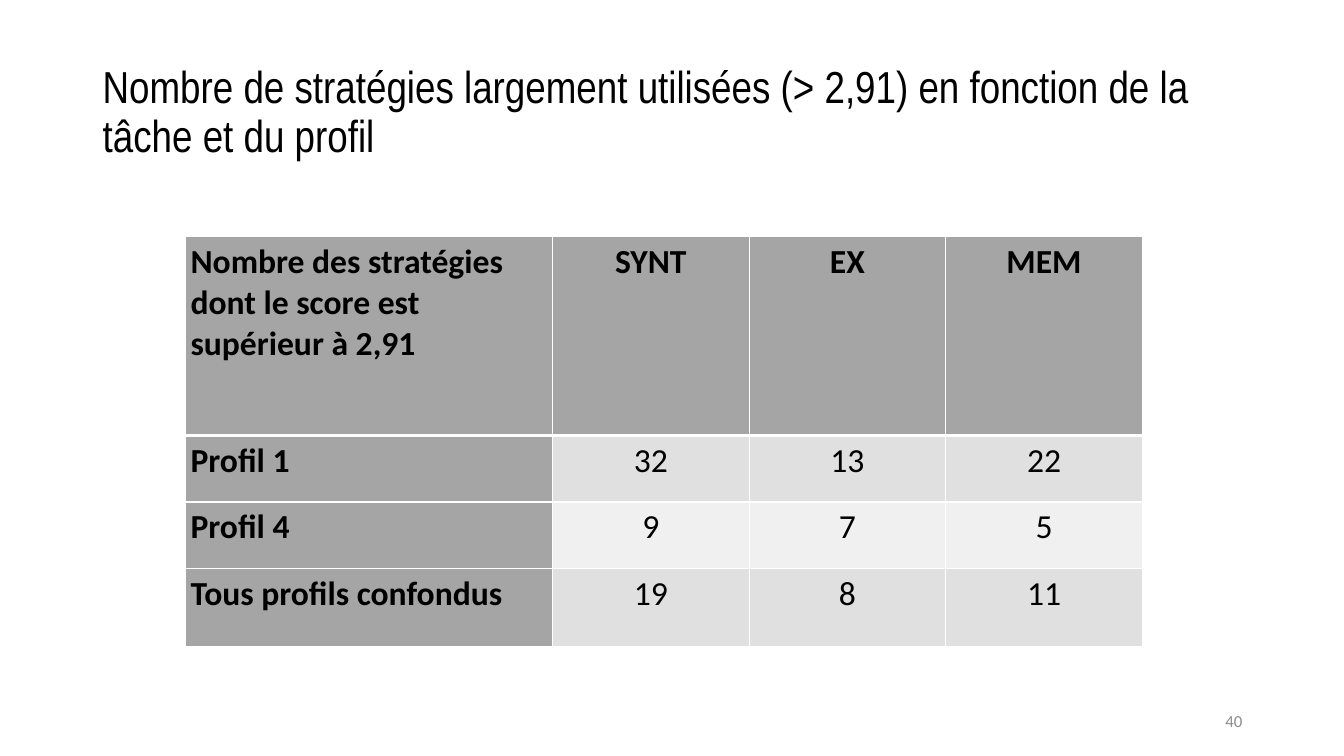
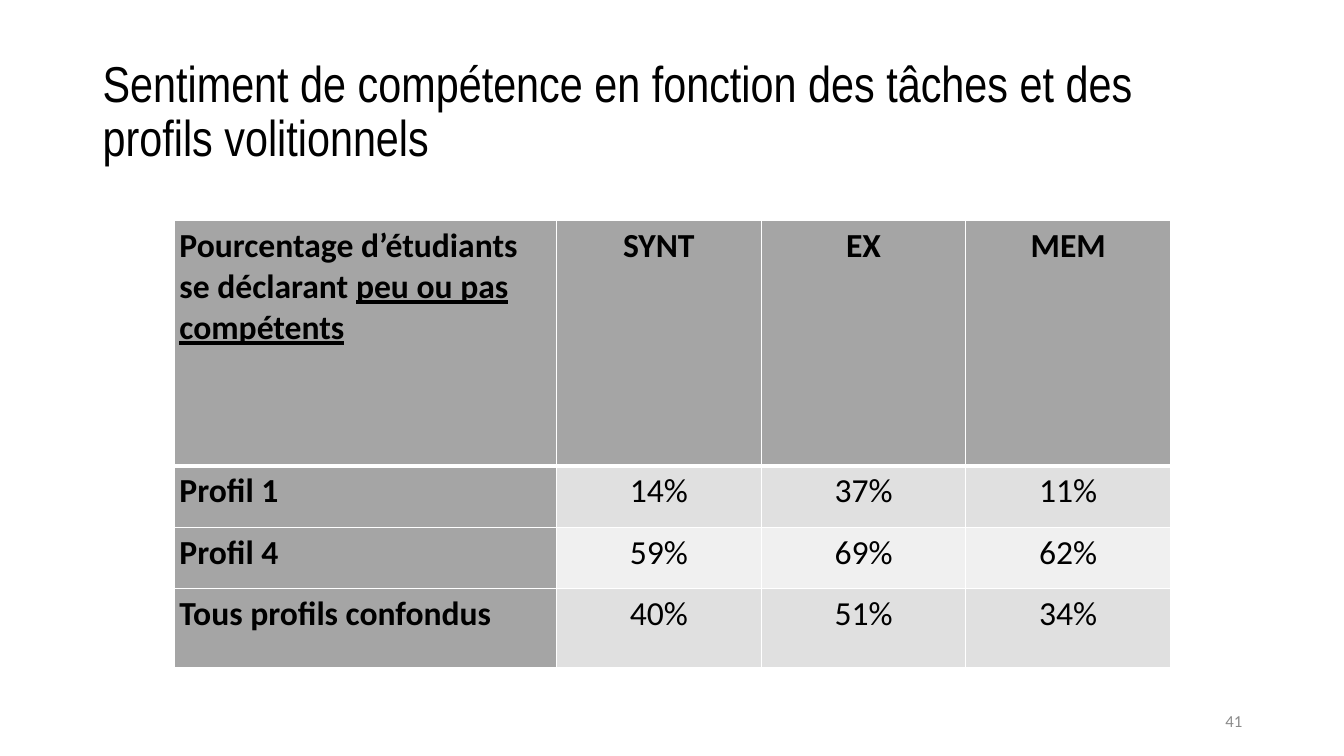
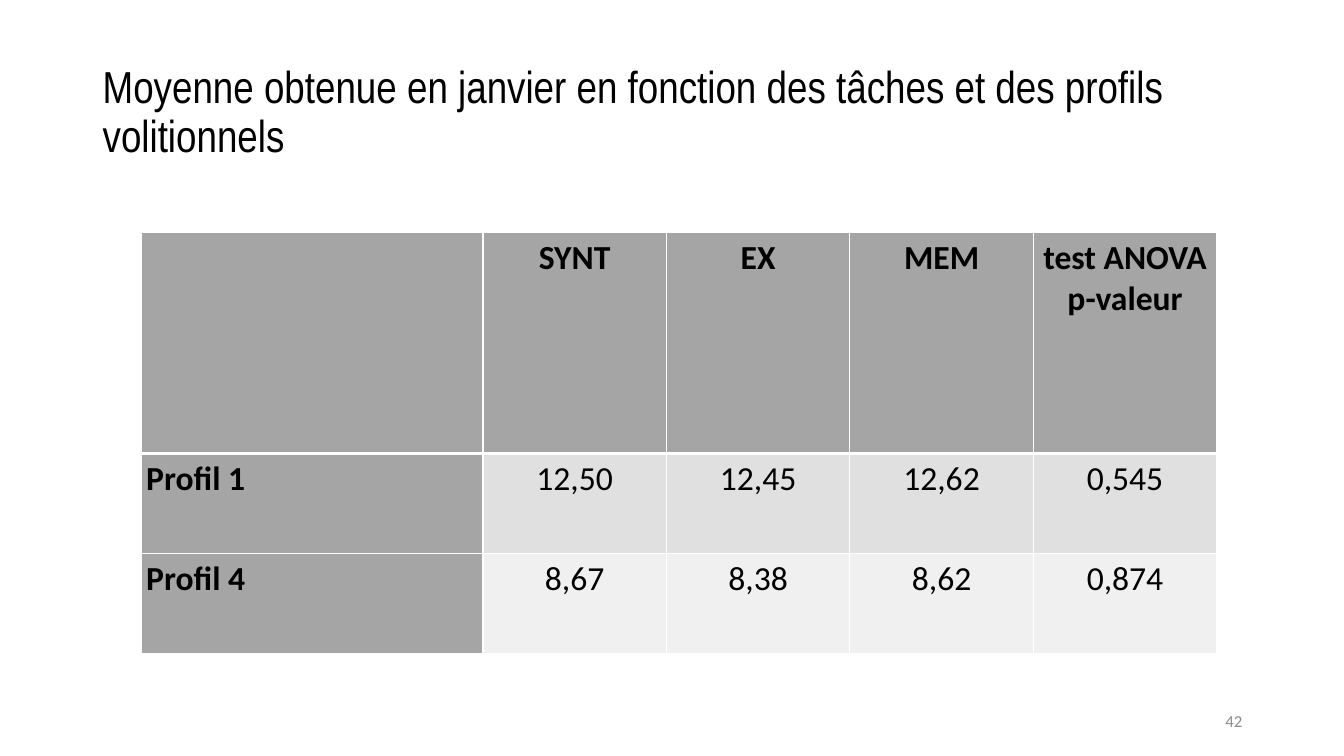
from lxml import etree
from pptx import Presentation
from pptx.dml.color import RGBColor
from pptx.enum.text import MSO_ANCHOR, PP_ALIGN
from pptx.oxml.ns import qn
from pptx.util import Inches, Pt

LEFT, CENTER, RIGHT = PP_ALIGN.LEFT, PP_ALIGN.CENTER, PP_ALIGN.RIGHT
MIDDLE = MSO_ANCHOR.MIDDLE

TITLE_FONT, BODY_FONT = "Arial Narrow", "Calibri"
BLACK, WHITE, NUMBER_GREY = "000000", "FFFFFF", "8B8B8B"
HEAD_FILL = "A5A5A5"
BAND_FILLS = ["E0E0E0", "F0F0F0"]
THIN, THICK = 0.96, 3
CELL_INSET = Inches(0.05)
FIRST_NUMBER = 40

TASKS = ["SYNT", "EX", "MEM"]

# A cell is a string, or a list of (text, underlined) parts.
SLIDES = [
    {
        "title": "Nombre de stratégies largement utilisées (> 2,91) en fonction de la tâche et du profil",
        "title_size": 32,
        "at": (1.84, 2.35),
        "label_width": 3.64,
        "value_width": 1.95,
        "heights": [1.97, 0.66, 0.66, 0.78],
        "rows": [
            ["Nombre des stratégies dont le score est supérieur à 2,91", *TASKS],
            ["Profil 1", "32", "13", "22"],
            ["Profil 4", "9", "7", "5"],
            ["Tous profils confondus", "19", "8", "11"],
        ],
    },
    {
        "title": "Sentiment de compétence en fonction des tâches et des profils volitionnels",
        "title_size": 36,
        "at": (1.73, 2.19),
        "label_width": 3.79,
        "value_width": 2.03,
        "heights": [2.43, 0.61, 0.61, 0.78],
        "rows": [
            [[("Pourcentage d’étudiants se déclarant ", False),
              ("peu ou pas compétents", True)], *TASKS],
            ["Profil 1", "14%", "37%", "11%"],
            ["Profil 4", "59%", "69%", "62%"],
            ["Tous profils confondus", "40%", "51%", "34%"],
        ],
    },
    {
        "title": "Moyenne obtenue en janvier en fonction des tâches et des profils volitionnels",
        "title_size": 32,
        "at": (1.4, 2.31),
        "label_width": 3.39,
        "value_width": 1.82,
        "heights": [2.19, 0.99, 0.99],
        "rows": [
            ["", *TASKS, "test ANOVA p-valeur"],
            ["Profil 1", "12,50", "12,45", "12,62", "0,545"],
            ["Profil 4", "8,67", "8,38", "8,62", "0,874"],
        ],
    },
]


def rgb(color):
    return RGBColor.from_string(color)


def write(tf, text, size, font=BODY_FONT, color=BLACK, bold=False,
          align=LEFT, line_spacing=None):
    """Fill a text frame with one paragraph; text may be (text, underlined) parts."""
    tf.word_wrap = True
    p = tf.paragraphs[0]
    p.alignment = align
    if line_spacing:
        p.line_spacing = line_spacing
    parts = [(text, False)] if isinstance(text, str) else text
    for part, underlined in parts:
        if not part:
            continue
        r = p.add_run()
        r.text = part
        r.font.name, r.font.size, r.font.bold = font, Pt(size), bold
        r.font.color.rgb = rgb(color)
        if underlined:
            r.font.underline = True


def add_text(s, box, text, size, **fmt):
    tf = s.shapes.add_textbox(*map(Inches, box)).text_frame
    tf.vertical_anchor = MIDDLE
    write(tf, text, size, **fmt)


def set_borders(cell, top, bottom):
    """Draw white borders; top and bottom are widths in points."""
    tc_pr = cell._tc.get_or_add_tcPr()
    for side, width in (("L", THIN), ("R", THIN), ("T", top), ("B", bottom)):
        ln = etree.SubElement(tc_pr, qn(f"a:ln{side}"), w=str(Pt(width)))
        fill = etree.SubElement(ln, qn("a:solidFill"))
        etree.SubElement(fill, qn("a:srgbClr"), val=WHITE)


def add_grid(s, at, label_width, value_width, heights, rows):
    widths = [label_width] + [value_width] * (len(rows[0]) - 1)
    box = map(Inches, (*at, sum(widths), sum(heights)))
    table = s.shapes.add_table(len(rows), len(widths), *box).table
    for column, width in zip(table.columns, widths):
        column.width = Inches(width)
    for i, (row, height) in enumerate(zip(rows, heights)):
        table.rows[i].height = Inches(height)
        for j, text in enumerate(row):
            cell = table.cell(i, j)
            is_head = i == 0 or j == 0
            cell.margin_left = cell.margin_right = CELL_INSET
            cell.margin_top = cell.margin_bottom = CELL_INSET
            set_borders(cell, top=THICK if i == 1 else THIN,
                        bottom=THICK if i == 0 else THIN)
            cell.fill.solid()
            cell.fill.fore_color.rgb = rgb(HEAD_FILL if is_head else BAND_FILLS[(i - 1) % 2])
            write(cell.text_frame, text, 24, bold=is_head,
                  align=CENTER if j else LEFT)


def main():
    prs = Presentation()
    prs.slide_width, prs.slide_height = Inches(13.33), Inches(7.5)
    for number, content in enumerate(SLIDES, FIRST_NUMBER):
        s = prs.slides.add_slide(prs.slide_layouts[6])
        add_text(s, (0.92, 0.4, 11.5, 1.45), content["title"], content["title_size"],
                 font=TITLE_FONT, line_spacing=0.9)
        add_grid(s, content["at"], content["label_width"], content["value_width"],
                 content["heights"], content["rows"])
        add_text(s, (9.42, 6.95, 3, 0.4), str(number), 12, color=NUMBER_GREY, align=RIGHT)
    prs.save("out.pptx")


if __name__ == "__main__":
    main()
